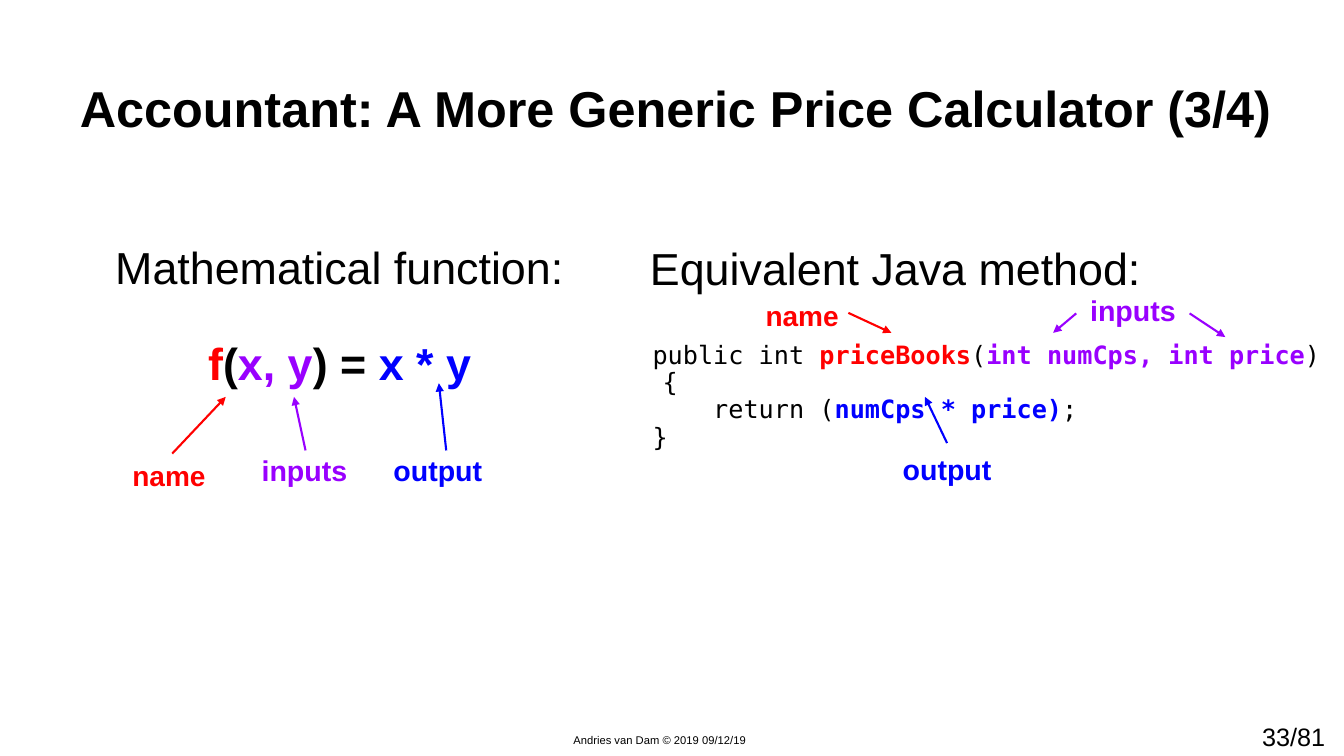
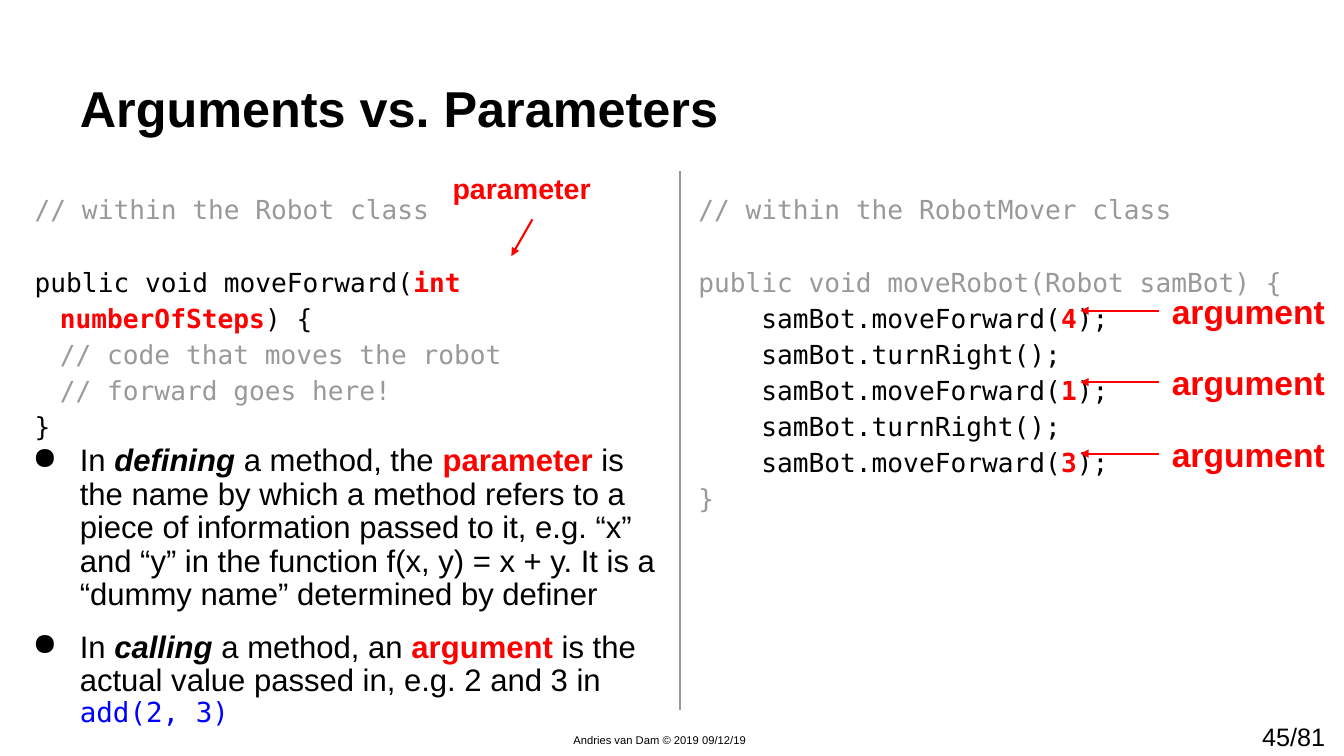
from pptx import Presentation
from pptx.dml.color import RGBColor
from pptx.enum.shapes import MSO_CONNECTOR
from pptx.enum.text import MSO_ANCHOR as ANCHOR, MSO_AUTO_SIZE, PP_ALIGN as ALIGN
from pptx.oxml import parse_xml
from pptx.oxml.ns import nsdecls
from pptx.util import Pt

PX = 9525
BLACK = RGBColor(0x00, 0x00, 0x00)
GREY = RGBColor(0x99, 0x99, 0x99)
RED = RGBColor(0xFF, 0x00, 0x00)
PURPLE = RGBColor(0x99, 0x00, 0xFF)
BLUE = RGBColor(0x00, 0x00, 0xFF)
SANS, MONO = "Arial", "DejaVu Sans Mono"

AS_GREY = dict(color=GREY)
AS_RED = dict(color=RED, bold=True)
AS_PURPLE = dict(color=PURPLE, bold=True)
AS_BLUE = dict(color=BLUE, bold=True)
AS_STRESS = dict(bold=True, italic=True)


def write(shape, *runs, at=None, inset=(12, 12), anchor=ANCHOR.TOP, align=ALIGN.LEFT,
          spacing=1.0, gap=0, indent=(0, 0), bullet=None, **style):
    """Add one paragraph; a run is a string or a (string, style changes) pair."""
    if at:
        shape.left, shape.top, shape.width, shape.height = [v * PX for v in at]
    frame = shape.text_frame
    frame.word_wrap = True
    frame.auto_size = MSO_AUTO_SIZE.NONE
    frame.vertical_anchor = anchor
    frame.margin_left = frame.margin_right = inset[0] * PX
    frame.margin_top = frame.margin_bottom = inset[1] * PX

    paragraph = frame.add_paragraph() if frame.text else frame.paragraphs[0]
    paragraph.alignment = align
    paragraph.line_spacing = spacing
    paragraph.space_before = Pt(gap)
    paragraph.space_after = Pt(0)
    props = paragraph._p.get_or_add_pPr()
    props.set("marL", str(indent[0] * PX))
    props.set("indent", str(indent[1] * PX))
    if bullet:
        props.append(parse_xml(f'<a:buClr {nsdecls("a")}><a:srgbClr val="{BLACK}"/></a:buClr>'))
        props.append(parse_xml(f'<a:buChar {nsdecls("a")} char="{bullet}"/>'))
    else:
        props.append(parse_xml(f'<a:buNone {nsdecls("a")}/>'))

    for item in runs:
        text, changes = (item, {}) if isinstance(item, str) else item
        look = dict(font=SANS, size=18, color=BLACK, bold=False, italic=False) | style | changes
        run = paragraph.add_run()
        run.text = text
        run.font.name = look["font"]
        run.font.size = Pt(look["size"])
        run.font.color.rgb = look["color"]
        run.font.bold = look["bold"]
        run.font.italic = look["italic"]


def draw_line(slide, start, end, color, joined=None, head=True):
    """Draw from start to end; joined is the (shape, side) the start sticks to."""
    line = slide.shapes.add_connector(MSO_CONNECTOR.STRAIGHT, *[v * PX for v in start + end])
    if joined:
        line.begin_connect(*joined)
    line.line.color.rgb = color
    line.line.width = Pt(1.5)
    if head:
        line.line._get_or_add_ln().append(
            parse_xml(f'<a:tailEnd {nsdecls("a")} type="triangle"/>'))
    line._element.spPr.append(parse_xml(f'<a:effectLst {nsdecls("a")}/>'))


deck = Presentation()
deck.slide_width, deck.slide_height = 1280 * PX, 720 * PX
two_content = deck.slide_layouts[3]

# Title and footer of both slides
slides = []
for title, page in [
    ("Accountant: A More Generic Price Calculator (3/4)", "33/81"),
    ("Arguments vs. Parameters", "45/81"),
]:
    slide = deck.slides.add_slide(two_content)
    write(slide.shapes.title, title, at=(64, 24, 1193, 120), anchor=ANCHOR.BOTTOM,
          spacing=0.9, size=36, bold=True)
    for text, at, size in [
        (page, (1192, 682, 88, 38), 18),
        ("Andries van Dam © 2019 09/12/19", (536, 693, 208, 23), 8),
    ]:
        write(slide.shapes.add_textbox(0, 0, 0, 0), text, at=at, inset=(10, 5), size=size)
    slides.append(slide)
calculator, arguments = slides

# Slide 1: a function beside its method
function, method = calculator.placeholders[1], calculator.placeholders[2]
write(function, "Mathematical function:", at=(44, 222, 559, 467), align=ALIGN.CENTER,
      spacing=0.9, size=32)
write(function, ("f", AS_RED), "(", ("x, y", AS_PURPLE), ") = ", ("x * y", AS_BLUE),
      align=ALIGN.CENTER, spacing=0.9, gap=34, size=32, bold=True)

write(method, "Equivalent Java method:", at=(595, 223, 685, 467), indent=(12, 0),
      spacing=0.9, size=32)
for gap, code in [
    (34, [" public int ", ("priceBooks", AS_RED), "(",
          ("int numCps, int price", AS_PURPLE), ") {"]),
    (0, ["     return (", ("numCps * price)", AS_BLUE), ";"]),
    (0, [" }"]),
]:
    write(method, *code, spacing=0.9, gap=gap, indent=(24, -24), font=MONO, size=18)

# Each label has arrows of (start, end, joined side)
for text, look, at, arrows in [
    ("name", AS_RED, (107, 429, 108, 47), [((164, 432), (215, 378), None)]),
    ("inputs", AS_PURPLE, (236, 423, 108, 55), [((291, 429), (280, 378), None)]),
    ("output", AS_BLUE, (353, 423, 128, 55), [((425, 429), (418, 365), None)]),
    ("name", AS_RED, (710, 277, 108, 47), [((808, 298), (849, 317), None)]),
    ("inputs", AS_PURPLE, (1025, 271, 108, 55), [((1025, 298), (1003, 317), 1),
                                                 ((1133, 298), (1167, 321), 3)]),
    ("output", AS_BLUE, (838, 422, 128, 55), [((902, 422), (881, 378), 0)]),
]:
    label = calculator.shapes.add_textbox(0, 0, 0, 0)
    is_name = text == "name"
    write(label, text, at=at, anchor=ANCHOR.MIDDLE, align=ALIGN.CENTER,
          spacing=1.0 if is_name else 0.8, size=20 if is_name else 20.4, **look)
    for start, end, side in arrows:
        draw_line(calculator, start, end, look["color"],
                  joined=None if side is None else (label, side))

# Slide 2: a definition beside its calls
definition, calls = arguments.placeholders[1], arguments.placeholders[2]
CODE = dict(spacing=1.15, font=MONO, size=18.7)
HANGING, INNER = (24, -24), (24, 0)
SKIPPED_LINE = 25.7

write(definition, ("// within the Robot class", AS_GREY), at=(21, 168, 652, 521),
      indent=HANGING, **CODE)
for gap, indent, code in [
    (SKIPPED_LINE, HANGING, ["public void moveForward(", ("int numberOfSteps", AS_RED), ") {"]),
    (0, INNER, [("// code that moves the robot", AS_GREY)]),
    (0, INNER, [("// forward goes here!", AS_GREY)]),
    (0, HANGING, ["}"]),
]:
    write(definition, *code, gap=gap, indent=indent, **CODE)

write(calls, ("// within the RobotMover class", AS_GREY), at=(653, 168, 627, 521),
      indent=HANGING, **CODE)
write(calls, ("public void moveRobot(Robot samBot) {", AS_GREY), gap=SKIPPED_LINE,
      indent=HANGING, **CODE)
for steps in "413":
    if steps != "4":
        write(calls, "    samBot.turnRight();", indent=HANGING, **CODE)
    write(calls, "    samBot.moveForward(", (steps, AS_RED), ");", indent=HANGING, **CODE)
write(calls, ("}", AS_GREY), indent=HANGING, **CODE)

draw_line(arguments, (648, 163), (648, 676), GREY, head=False)

for row in range(3):
    top = 275 + 68 * row
    label = arguments.shapes.add_textbox(0, 0, 0, 0)
    write(label, "argument", at=(1104, top, 176, 42), anchor=ANCHOR.MIDDLE, size=24, **AS_RED)
    draw_line(arguments, (1104, top + 21), (1029, top + 21), RED, joined=(label, 1))

parameter = arguments.shapes.add_textbox(0, 0, 0, 0)
write(parameter, "parameter", at=(419, 153, 176, 56), anchor=ANCHOR.MIDDLE, spacing=0.9,
      size=20.4, **AS_RED)
draw_line(arguments, (507, 209), (487, 244), RED, joined=(parameter, 2))

explanation = arguments.shapes.add_textbox(0, 0, 0, 0)
for gap, sentence in [
    (0, ["In ", ("defining ", AS_STRESS), "a method, the ", ("parameter", AS_RED),
         " is the name by which a method refers to a piece of information passed to it, "
         "e.g. “x” and “y” in the function f(x, y) = x + y. It is a “dummy name” "
         "determined by definer"]),
    (13.3, ["In ", ("calling ", AS_STRESS), "a method, an ", ("argument", AS_RED),
            " is the actual value passed in, e.g. 2 and 3 in ",
            ("add(2, 3)", dict(font=MONO, size=19.7, color=BLUE))]),
]:
    write(explanation, *sentence, at=(0, 398, 648, 321), anchor=ANCHOR.MIDDLE, spacing=0.9,
          gap=gap, indent=(64, -45), bullet="●", size=22.2)

deck.save("out.pptx")
